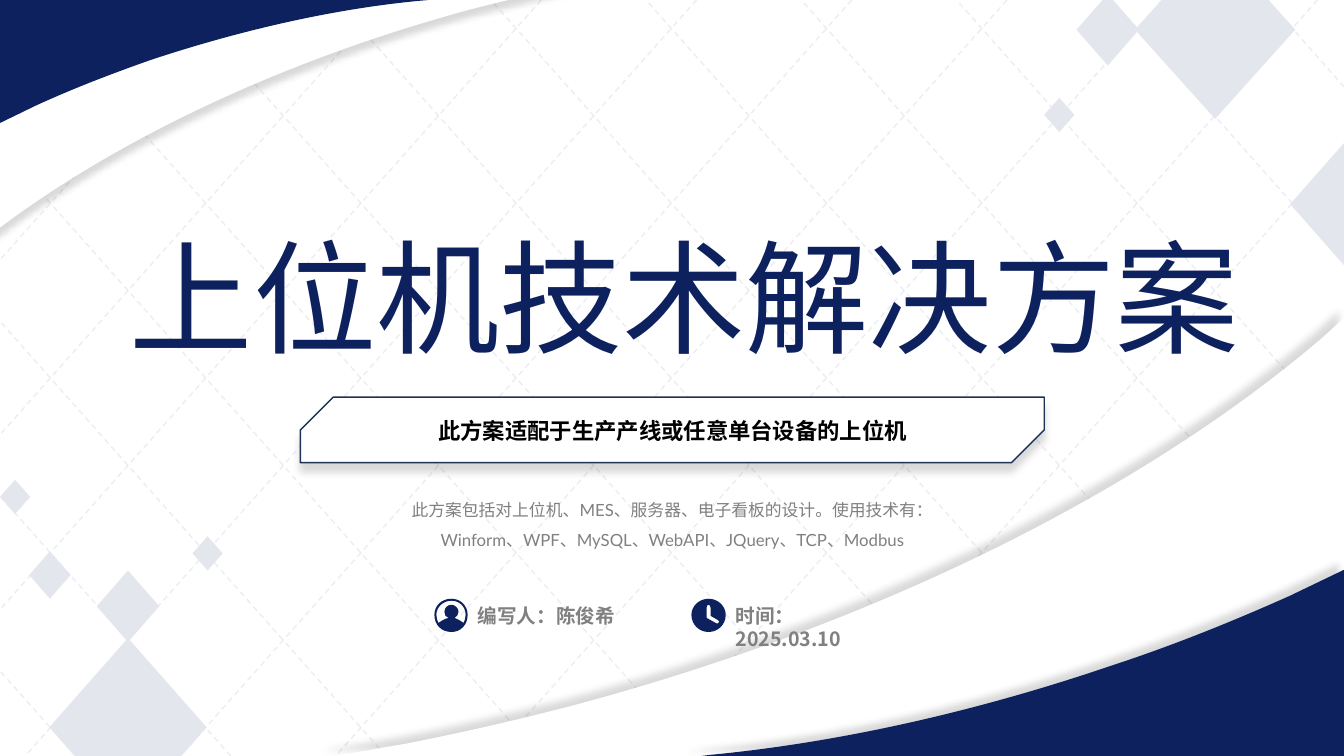
from lxml.etree import SubElement
from pptx import Presentation
from pptx.dml.color import RGBColor
from pptx.enum.dml import MSO_LINE
from pptx.enum.shapes import MSO_CONNECTOR, MSO_SHAPE
from pptx.enum.text import PP_ALIGN
from pptx.oxml.ns import qn
from pptx.util import Inches, Pt

NAVY = RGBColor(0x0D, 0x21, 0x5E)
EDGE = RGBColor(0x1E, 0x32, 0x56)
PALE = RGBColor(0xE3, 0xE7, 0xED)
GREY = RGBColor(0x80, 0x80, 0x80)
BLACK = RGBColor(0, 0, 0)
WHITE = RGBColor(0xFF, 0xFF, 0xFF)
SANS_SC = "Noto Sans CJK SC"
SANS_JP = "Noto Sans CJK JP"

TOP_BAND = [[
    (1.13, -0.27), (6.38, -0.27), (5.85, -0.18),
    (5.47, -0.1, 5.07, -0.01, 4.68, 0.09), (2.57, 0.66, 0.76, 1.58, -0.44, 2.61),
    (-0.59, 2.75), (-0.59, 0.42), (-0.13, 0.21), (0.1, 0.11, 0.34, 0.01, 0.58, -0.08)]]
TOP_TIP = [[
    (0, 0), (4.25, 0), (4.14, 0.01), (3.32, 0.09, 2.42, 0.29, 1.51, 0.59),
    (1.11, 0.73, 0.72, 0.88, 0.35, 1.05), (0, 1.22)]]
LOW_BAND = [[
    (10.85, 7.51), (3.27, 7.51), (4.02, 7.38),
    (4.58, 7.27, 5.15, 7.14, 5.72, 6.99), (8.77, 6.17, 11.38, 4.84, 13.12, 3.35),
    (13.34, 3.15), (13.34, 6.51), (12.66, 6.82), (12.33, 6.96, 11.99, 7.1, 11.64, 7.23)]]
LOW_TIP = [[
    (13.34, 7.51), (6.88, 7.51), (7.04, 7.49), (8.3, 7.37, 9.66, 7.07, 11.04, 6.6),
    (11.65, 6.4, 12.24, 6.16, 12.8, 5.91), (13.34, 5.65)]]
PERSON = [
    [(4.48, 5.94), (4.38, 5.94, 4.31, 6.01, 4.31, 6.1), (4.31, 6.2, 4.38, 6.27, 4.48, 6.27),
     (4.57, 6.27, 4.64, 6.2, 4.64, 6.1), (4.64, 6.01, 4.57, 5.94, 4.48, 5.94)],
    [(4.48, 5.96), (4.56, 5.96, 4.62, 6.02, 4.62, 6.1), (4.62, 6.13, 4.61, 6.16, 4.6, 6.18),
     (4.57, 6.16, 4.54, 6.14, 4.51, 6.13), (4.53, 6.12, 4.55, 6.1, 4.55, 6.07),
     (4.55, 6.03, 4.51, 6, 4.48, 6), (4.44, 6, 4.41, 6.03, 4.41, 6.07),
     (4.41, 6.1, 4.42, 6.12, 4.45, 6.13), (4.41, 6.14, 4.38, 6.16, 4.35, 6.18),
     (4.34, 6.16, 4.33, 6.13, 4.33, 6.1), (4.33, 6.02, 4.4, 5.96, 4.48, 5.96)]]
CLOCK = [
    [(7.05, 6.11), (7.05, 6.03), (7.05, 6.01, 7.04, 6, 7.03, 6), (7.02, 6, 7.01, 6.01, 7.01, 6.03),
     (7.01, 6.13), (7.1, 6.18), (7.11, 6.19, 7.12, 6.19, 7.13, 6.18),
     (7.14, 6.17, 7.13, 6.15, 7.12, 6.15)],
    [(7.03, 6.27), (6.94, 6.27, 6.86, 6.2, 6.86, 6.1), (6.86, 6.01, 6.94, 5.94, 7.03, 5.94),
     (7.12, 5.94, 7.2, 6.01, 7.2, 6.1), (7.2, 6.2, 7.12, 6.27, 7.03, 6.27)]]
GEMS = [
    (0.49, 6.33, 1.56, 1.77), (11.26, -0.59, 1.59, 1.77), (0.29, 5.47, 0.41, 0.47),
    (1.91, 5.32, 0.3, 0.34), (0.96, 5.66, 0.62, 0.71), (0, 4.76, 0.3, 0.34),
    (10.68, -0.06, 0.62, 0.71), (10.36, 0.97, 0.3, 0.34), (12.8, 1.14, 1.56, 1.77)]


def set_alpha(color, share):
    SubElement(color, qn("a:alpha")).set("val", str(share * 1000))


def paint(shape, fill, line=None, angle=None):
    shape.fill.solid()
    shape.fill.fore_color.rgb = fill
    if line is None:
        shape.line.fill.background()
    else:
        shape.line.color.rgb = line
        shape.line.width = Pt(1)
    shape.shadow.inherit = False
    if angle is not None:
        effects = shape._element.spPr.find(qn("a:effectLst"))
        outer = SubElement(effects, qn("a:outerShdw"), blurRad=str(Pt(5)), dist=str(Pt(6)),
                           dir=str(angle * 60000), algn="ctr", rotWithShape="0")
        set_alpha(SubElement(outer, qn("a:srgbClr"), val=str(BLACK)), 14)


def add_shape(slide, kind, box, fill, **style):
    shape = slide.shapes.add_shape(kind, *map(Inches, box))
    paint(shape, fill, **style)
    return shape


def to_points(part):
    return [(Inches(x), Inches(y)) for x, y in zip(part[::2], part[1::2])]


def bend(shape, outlines):
    parts = [part for outline in outlines for part in outline[1:]]
    steps = shape._element.iter(qn("a:lnTo"))
    groups = [[step for _, step in zip(part[::2], steps)] for part in parts]
    for group in groups:
        if len(group) == 3:
            curve = SubElement(group[0].getparent(), qn("a:cubicBezTo"))
            group[0].addprevious(curve)
            for step in group:
                curve.append(step[0])
                step.getparent().remove(step)


def add_free(slide, outlines, fill, **style):
    pen = None
    for first, *parts in outlines:
        start, = to_points(first)
        if pen is None:
            pen = slide.shapes.build_freeform(*start, scale=1.0)
        else:
            pen.move_to(*start)
        pen.add_line_segments([point for part in parts for point in to_points(part)], close=True)
    shape = pen.convert_to_shape()
    bend(shape, outlines)
    paint(shape, fill, **style)


def add_dash(slide, *ends):
    line = slide.shapes.add_connector(MSO_CONNECTOR.STRAIGHT, *map(Inches, ends))
    line.line.color.rgb = NAVY
    line.line.width = Pt(1)
    line.line.dash_style = MSO_LINE.DASH
    props = line._element.spPr
    set_alpha(next(props.iter(qn("a:srgbClr"))), 7)
    SubElement(props, qn("a:effectLst"))
    tree = slide.slide_layout.shapes._spTree
    line._element.nvCxnSpPr.cNvPr.set("id", str(len(tree) + 10))
    tree.append(line._element)


def add_text(slide, text, box, size, color, font="Lato", asian=SANS_SC,
             bold=False, wrap=True, align=PP_ALIGN.LEFT, spacing=None):
    frame = slide.shapes.add_textbox(*map(Inches, box)).text_frame
    frame.word_wrap = wrap
    para = frame.paragraphs[0]
    para.alignment = align
    para.line_spacing = spacing
    run = para.add_run()
    run.text = text
    run.font.size = Pt(size)
    run.font.bold = bold
    run.font.color.rgb = color
    run.font.name = font
    SubElement(run._r.rPr, qn("a:ea")).set("typeface", asian)


def main():
    deck = Presentation()
    deck.slide_width, deck.slide_height = Inches(40 / 3), Inches(7.5)
    slide = deck.slides.add_slide(deck.slide_layouts[6])

    for top, foot in ((0, 7.5), (7.5, 0)):
        for index in range(13):
            left = 0.75 + 1.54 * index
            add_dash(slide, left, top, left - 6.66, foot)

    add_free(slide, TOP_BAND, WHITE, angle=90)
    add_free(slide, TOP_TIP, NAVY, angle=225)
    add_free(slide, LOW_BAND, WHITE, angle=225)
    add_free(slide, LOW_TIP, NAVY, angle=225)

    add_text(slide, "上位机技术解决方案", (1.19, 2.15, 11.2, 1.58), 88, NAVY,
             font=SANS_SC, wrap=False)
    for box in GEMS:
        add_shape(slide, MSO_SHAPE.DIAMOND, box, PALE)
    plate = add_shape(slide, MSO_SHAPE.SNIP_2_DIAG_RECTANGLE, (2.98, 3.94, 7.38, 0.65),
                      WHITE, line=EDGE, angle=90)
    plate.adjustments[0], plate.adjustments[1] = 0.5, 0

    facts = [("编写人：陈俊希", 4.64, 2.22, PERSON), ("时间：2025.03.10", 7.2, 1.82, CLOCK)]
    for label, left, width, icon in facts:
        add_text(slide, label, (left, 5.94, width, 0.34), 14, GREY,
                 font=SANS_JP, asian=SANS_JP, bold=True)
        add_free(slide, icon, NAVY)

    add_text(slide, "此方案包括对上位机、MES、服务器、电子看板的设计。使用技术有："
             "Winform、WPF、MySQL、WebAPI、JQuery、TCP、Modbus",
             (3.76, 4.81, 5.82, 0.71), 12, GREY, align=PP_ALIGN.CENTER, spacing=1.5)
    add_text(slide, "此方案适配于生产产线或任意单台设备的上位机", (4.25, 4.09, 4.9, 0.37),
             16, BLACK, bold=True, wrap=False)
    deck.save("out.pptx")


if __name__ == "__main__":
    main()
